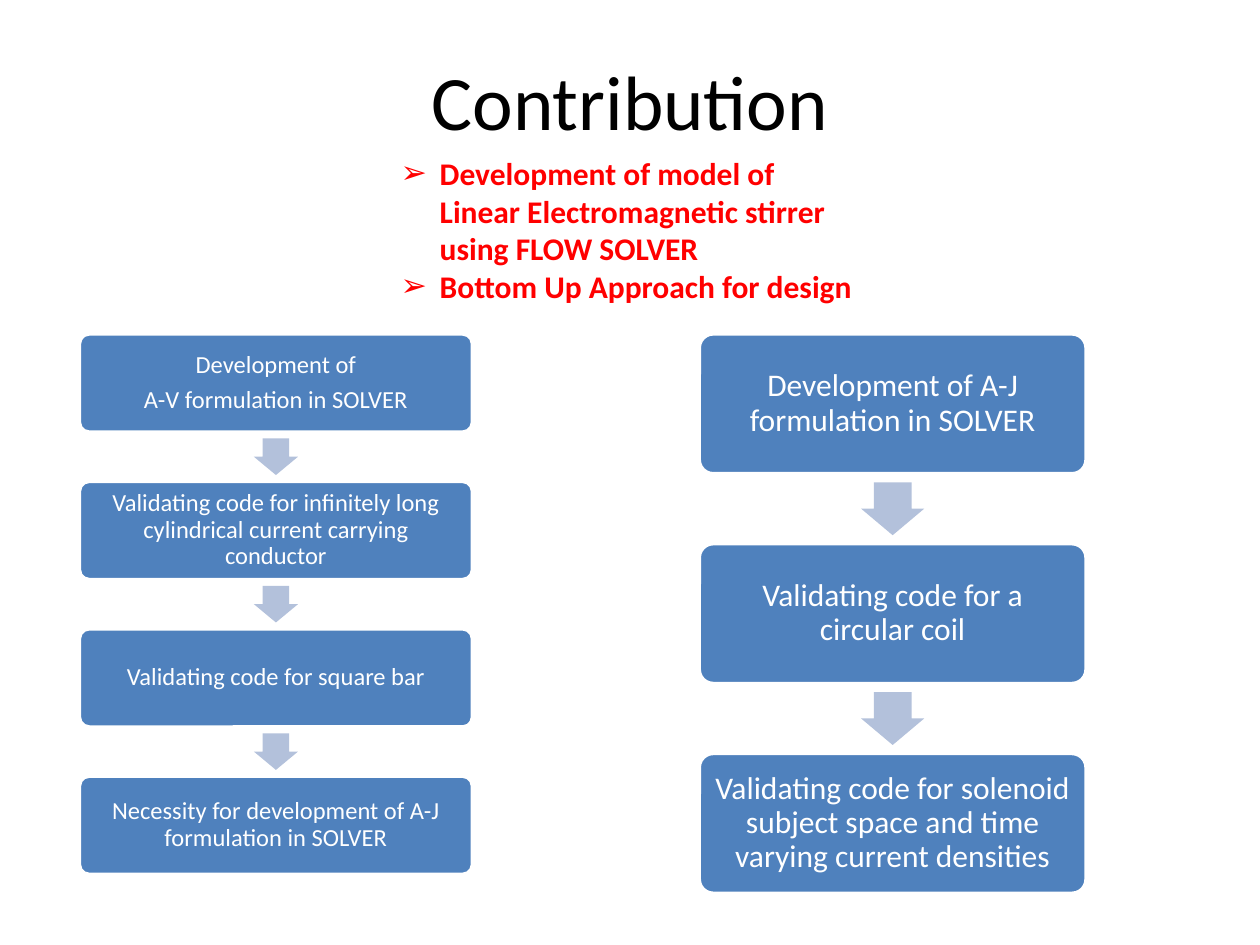
from lxml.etree import SubElement
from pptx import Presentation
from pptx.dml.color import RGBColor
from pptx.enum.shapes import MSO_SHAPE
from pptx.enum.text import MSO_ANCHOR, MSO_AUTO_SIZE, PP_ALIGN
from pptx.oxml.ns import qn
from pptx.util import Inches, Pt

BLACK = RGBColor(0x00, 0x00, 0x00)
WHITE = RGBColor(0xFF, 0xFF, 0xFF)
RED = RGBColor(0xFF, 0x00, 0x00)
BOX_BLUE = RGBColor(0x4F, 0x81, 0xBD)
ARROW_BLUE = RGBColor(0xB3, 0xC1, 0xDB)

GOALS = [
    "Development of model of Linear Electromagnetic stirrer using FLOW SOLVER",
    "Bottom Up Approach for design",
]
POTENTIAL_STEPS = [
    "Development of\nA-V formulation in SOLVER",
    "Validating code for infinitely long cylindrical current carrying conductor",
    "Validating code for square bar",
    "Necessity for development of A-J formulation in SOLVER",
]
CURRENT_STEPS = [
    "Development of A-J formulation in SOLVER",
    "Validating code for a circular coil",
    "Validating code for solenoid subject space and time varying current densities",
]


def place(shape, left, top, width, height):
    """Set the position and size of a shape in inches."""
    shape.left, shape.top = Inches(left), Inches(top)
    shape.width, shape.height = Inches(width), Inches(height)


def style_font(paragraph, size, color, bold=False):
    """Set the font of a whole paragraph."""
    font = paragraph.font
    font.name, font.size, font.bold = "Calibri", Pt(size), bold
    font.color.rgb = color


def fill_title(title, text):
    """Write the centred slide title."""
    place(title, 0.5, 0.17, 9, 1.25)
    title.text_frame.text = text
    title.text_frame.vertical_anchor = MSO_ANCHOR.MIDDLE
    paragraph = title.text_frame.paragraphs[0]
    paragraph.alignment = PP_ALIGN.CENTER
    style_font(paragraph, 44, BLACK)


def fill_goals(body, goals):
    """Write the red list with arrowhead bullets."""
    place(body, 3.08, 1.17, 3.83, 1.62)
    frame = body.text_frame
    frame.auto_size = MSO_AUTO_SIZE.NONE
    frame.text = "\n".join(goals)
    for paragraph in frame.paragraphs:
        properties = paragraph._p.get_or_add_pPr()
        properties.set("marL", str(Inches(0.31)))
        properties.set("indent", str(Inches(-0.31)))
        SubElement(properties, qn("a:buChar")).set("char", "➢")
        paragraph.space_before = Pt(0)
        style_font(paragraph, 18, RED, bold=True)


def add_step(slide, text, left, top, width, height, size, margin):
    """Add one rounded box with its centred text."""
    box = slide.shapes.add_shape(
        MSO_SHAPE.ROUNDED_RECTANGLE,
        Inches(left), Inches(top), Inches(width), Inches(height))
    box.adjustments[0] = 0.1
    box.shadow.inherit = False
    box.fill.solid()
    box.fill.fore_color.rgb = BOX_BLUE
    box.line.color.rgb = WHITE
    box.line.width = Pt(2)
    frame = box.text_frame
    frame.word_wrap = True
    frame.vertical_anchor = MSO_ANCHOR.MIDDLE
    frame.margin_left = frame.margin_right = Inches(margin)
    frame.margin_top = frame.margin_bottom = Inches(margin)
    frame.text = text
    for paragraph in frame.paragraphs:
        paragraph.alignment = PP_ALIGN.CENTER
        paragraph.line_spacing = 0.9
        paragraph.space_after = Pt(round(0.35 * size, 1))
        style_font(paragraph, size, WHITE)


def add_arrow(slide, center_x, center_y, width, height):
    """Add a down arrow around a centre point."""
    arrow = slide.shapes.add_shape(
        MSO_SHAPE.DOWN_ARROW,
        Inches(center_x - width / 2), Inches(center_y - height / 2),
        Inches(width), Inches(height))
    arrow.adjustments[0], arrow.adjustments[1] = 0.6, 0.5
    arrow.shadow.inherit = False
    arrow.fill.solid()
    arrow.fill.fore_color.rgb = ARROW_BLUE
    arrow.line.fill.background()


def add_flow(slide, steps, left, last_top, box_size, arrow_size, text_size, margin):
    """Add evenly spaced steps with an arrow centred in each gap."""
    first_top = 2.65
    width, height = box_size
    pitch = (last_top - first_top) / (len(steps) - 1)
    for index, text in enumerate(steps):
        top = first_top + index * pitch
        if index:
            gap_center = top - (pitch - height) / 2
            add_arrow(slide, left + width / 2, gap_center, *arrow_size)
        add_step(slide, text, left, top, width, height, text_size, margin)


def main():
    """Build the slide and save it."""
    presentation = Presentation()
    presentation.slide_width, presentation.slide_height = Inches(10), Inches(7.5)
    slide = presentation.slides.add_slide(presentation.slide_layouts[1])
    fill_title(slide.shapes.title, "Contribution")
    fill_goals(slide.placeholders[1], GOALS)
    add_flow(slide, POTENTIAL_STEPS, 0.63, 6.16, (3.12, 0.78), (0.35, 0.29), 14, 0.07)
    add_flow(slide, CURRENT_STEPS, 5.55, 5.98, (3.07, 1.11), (0.5, 0.42), 18, 0.08)
    presentation.save("out.pptx")


if __name__ == "__main__":
    main()
